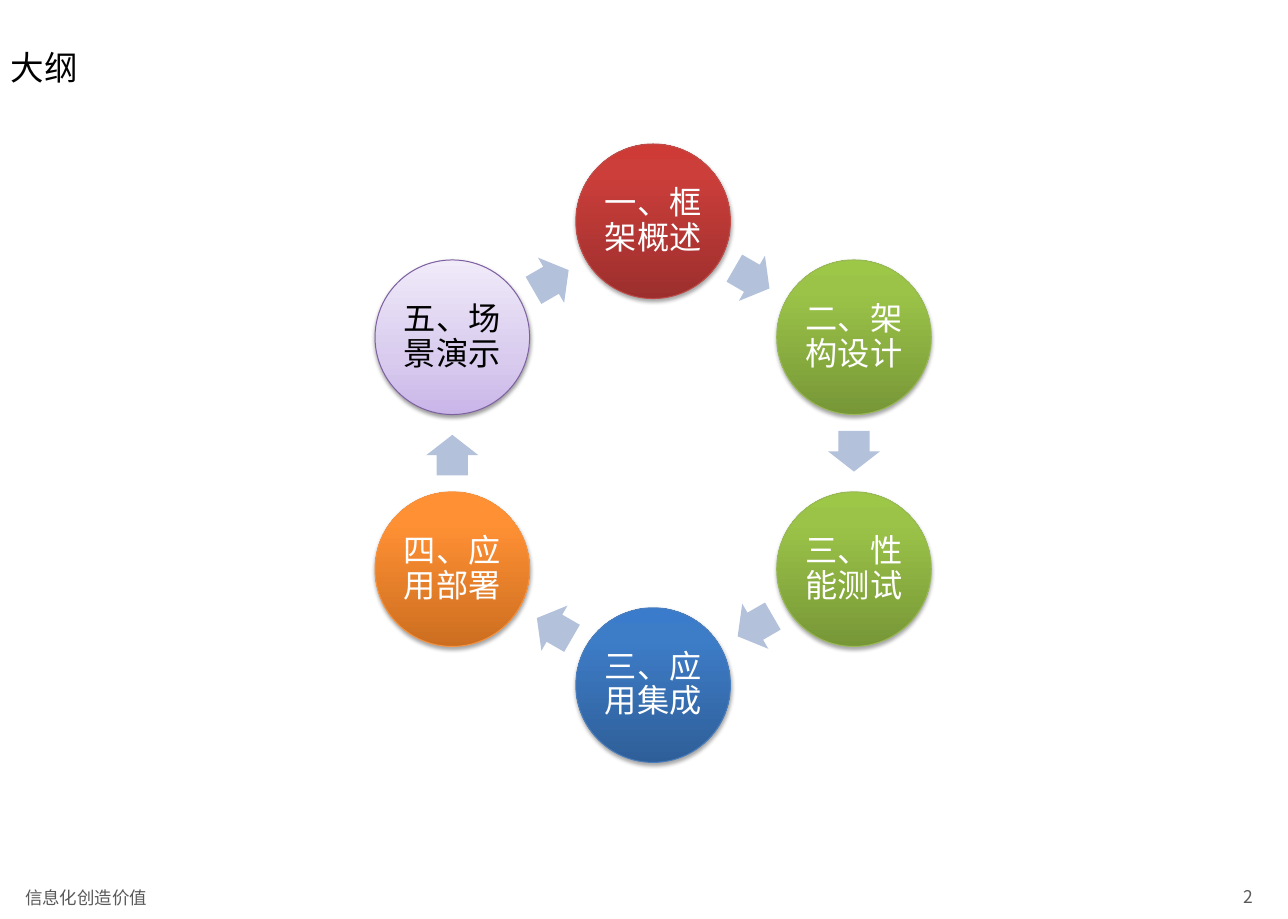
from math import cos, radians, sin

from lxml.etree import SubElement
from pptx import Presentation
from pptx.dml.color import RGBColor
from pptx.enum.shapes import MSO_SHAPE
from pptx.enum.text import MSO_ANCHOR, PP_ALIGN
from pptx.oxml import parse_xml
from pptx.oxml.ns import nsdecls, qn
from pptx.util import Inches, Pt

# Content: step text and colour key, clockwise from the top
STEPS = [
    ("一、框架概述", "red"),
    ("二、架构设计", "green"),
    ("三、性能测试", "green"),
    ("三、应用集成", "blue"),
    ("四、应用部署", "orange"),
    ("五、场景演示", "violet"),
]
# Text, box, size key, colour key, paragraph format, anchor
LABELS = [
    ("信息化创造价值", (0.13, 9.15, 4.22, 0.27), "foot", "grey",
     {"alignment": PP_ALIGN.LEFT}, MSO_ANCHOR.MIDDLE),
    ("2", (11.53, 9.12, 1.57, 0.32), "foot", "grey",
     {"alignment": PP_ALIGN.RIGHT}, MSO_ANCHOR.MIDDLE),
    ("大纲", (-0.02, 0.37, 11.16, 0.68), "title", "black",
     {"line_spacing": Pt(34)}, MSO_ANCHOR.TOP),
]

THEME = {
    "font": "Noto Sans CJK SC",
    "size": {"title": 25, "step": 24, "foot": 13},
    "ink": {"black": "000000", "white": "FFFFFF", "grey": "595959"},
    "arrow": "B3C1DB",
    # Gradient stops from bottom to top, outline, text colour, shadow opacity
    "disc": {
        "red": (((0, "9C2F2D"), (80, "CB3E3A"), (100, "CE3B37")), "BF4C48", "white", 35),
        "green": (((0, "779737"), (80, "9BC348"), (100, "9DC746")), "98B955", "white", 35),
        "blue": (((0, "2F5F99"), (80, "3D7CC7"), (100, "3A7CCB")), "4B7EBC", "white", 35),
        "orange": (((0, "CC6E20"), (80, "FF9034"), (100, "FF9136")), "F69240", "white", 35),
        "violet": (((0, "C9B5E8"), (35, "D8CBEE"), (100, "F0EAF9")), "7D60A0", "black", 38),
    },
}

# Ring geometry in inches
MID_X, MID_Y, RING = 6.76, 4.69, 2.4
DISC = 1.6
ARROW_W, ARROW_H, BACK = 0.42, 0.54, 0.02
TURN = 360 / len(STEPS)


def apply(item, form):
    for name, value in form.items():
        setattr(item, name, value)


def write(shape, text, size, ink, para, anchor, pad):
    frame = shape.text_frame
    apply(frame, {
        "word_wrap": True, "vertical_anchor": anchor,
        "margin_left": Inches(pad[0]), "margin_right": Inches(pad[0]),
        "margin_top": Inches(pad[1]), "margin_bottom": Inches(pad[1]),
    })
    line = frame.paragraphs[0]
    apply(line, para)
    run = line.add_run()
    run.text = text
    apply(run.font, {"name": THEME["font"], "size": Pt(THEME["size"][size])})
    run.font.color.rgb = RGBColor.from_string(THEME["ink"][ink])
    SubElement(run.font._element, qn("a:ea")).set("typeface", THEME["font"])


def ring_point(angle, radius):
    turn = radians(angle)
    return MID_X + radius * sin(turn), MID_Y - radius * cos(turn)


def add_centred(slide, kind, x, y, wide, high):
    shape = slide.shapes.add_shape(
        kind, Inches(x - wide / 2), Inches(y - high / 2), Inches(wide), Inches(high))
    shape.shadow.inherit = False
    return shape


def add_disc(slide, text, key, angle):
    stops, edge, ink, shade = THEME["disc"][key]
    disc = add_centred(slide, MSO_SHAPE.OVAL, *ring_point(angle, RING), DISC, DISC)
    disc.line.color.rgb = RGBColor.from_string(edge)
    disc.line.width = Pt(0.75)
    # Gradient fill and soft shadow
    marks = "".join(
        f'<a:gs pos="{pos * 1000}"><a:srgbClr val="{tint}"/></a:gs>' for pos, tint in stops)
    props = disc._element.spPr
    props.find(qn("a:prstGeom")).addnext(parse_xml(
        f'<a:gradFill {nsdecls("a")} rotWithShape="1"><a:gsLst>{marks}</a:gsLst>'
        '<a:lin ang="16200000" scaled="0"/></a:gradFill>'))
    props.find(qn("a:effectLst")).append(parse_xml(
        f'<a:outerShdw {nsdecls("a")} blurRad="{Pt(3.1)}" dist="{Pt(1.8)}" dir="5400000" '
        f'rotWithShape="0"><a:srgbClr val="000000"><a:alpha val="{shade * 1000}"/>'
        '</a:srgbClr></a:outerShdw>'))
    write(disc, text, "step", ink, {"alignment": PP_ALIGN.CENTER, "line_spacing": 0.9},
          MSO_ANCHOR.MIDDLE, (0.03, 0.03))


def add_arrow(slide, angle):
    # Midway between two discs, set back slightly along its heading
    x, y = ring_point(angle, RING * cos(radians(TURN / 2)))
    turn = radians(angle)
    arrow = add_centred(slide, MSO_SHAPE.RIGHT_ARROW, x - BACK * cos(turn),
                        y - BACK * sin(turn), ARROW_W, ARROW_H)
    arrow.rotation = angle
    arrow.adjustments[0], arrow.adjustments[1] = 0.6, 0.5
    arrow.fill.solid()
    arrow.fill.fore_color.rgb = RGBColor.from_string(THEME["arrow"])
    arrow.line.fill.background()


def main():
    deck = Presentation()
    apply(deck, {"slide_width": Inches(13.33), "slide_height": Inches(9.51)})
    slide = deck.slides.add_slide(deck.slide_layouts[6])

    # Title and footer
    for text, box, size, ink, para, anchor in LABELS:
        label = slide.shapes.add_textbox(*map(Inches, box))
        write(label, text, size, ink, para, anchor, (0.13, 0.06))

    # Cycle
    for index, (text, key) in enumerate(STEPS):
        add_disc(slide, text, key, index * TURN)
        add_arrow(slide, (index + 0.5) * TURN)

    deck.save("out.pptx")


if __name__ == "__main__":
    main()
